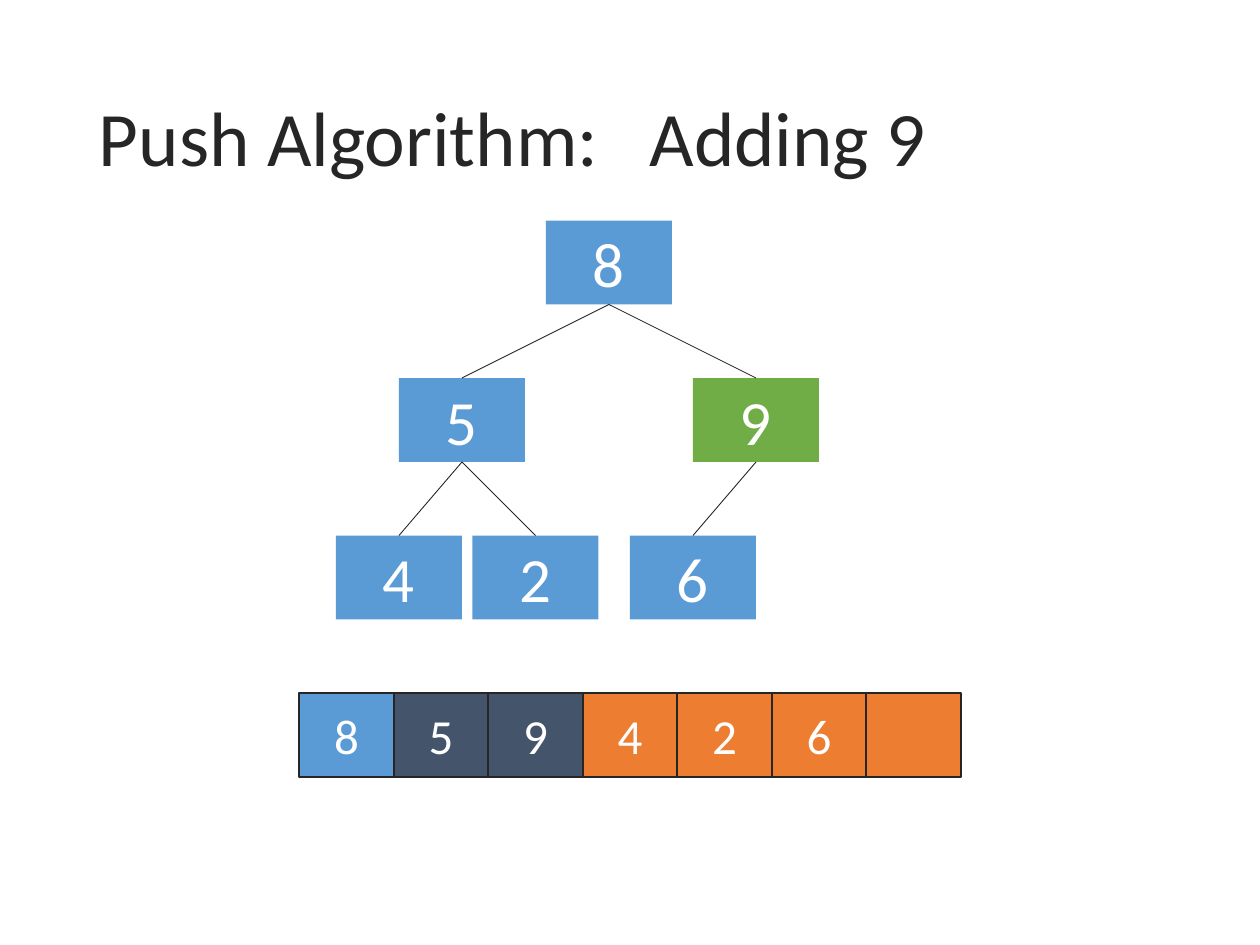
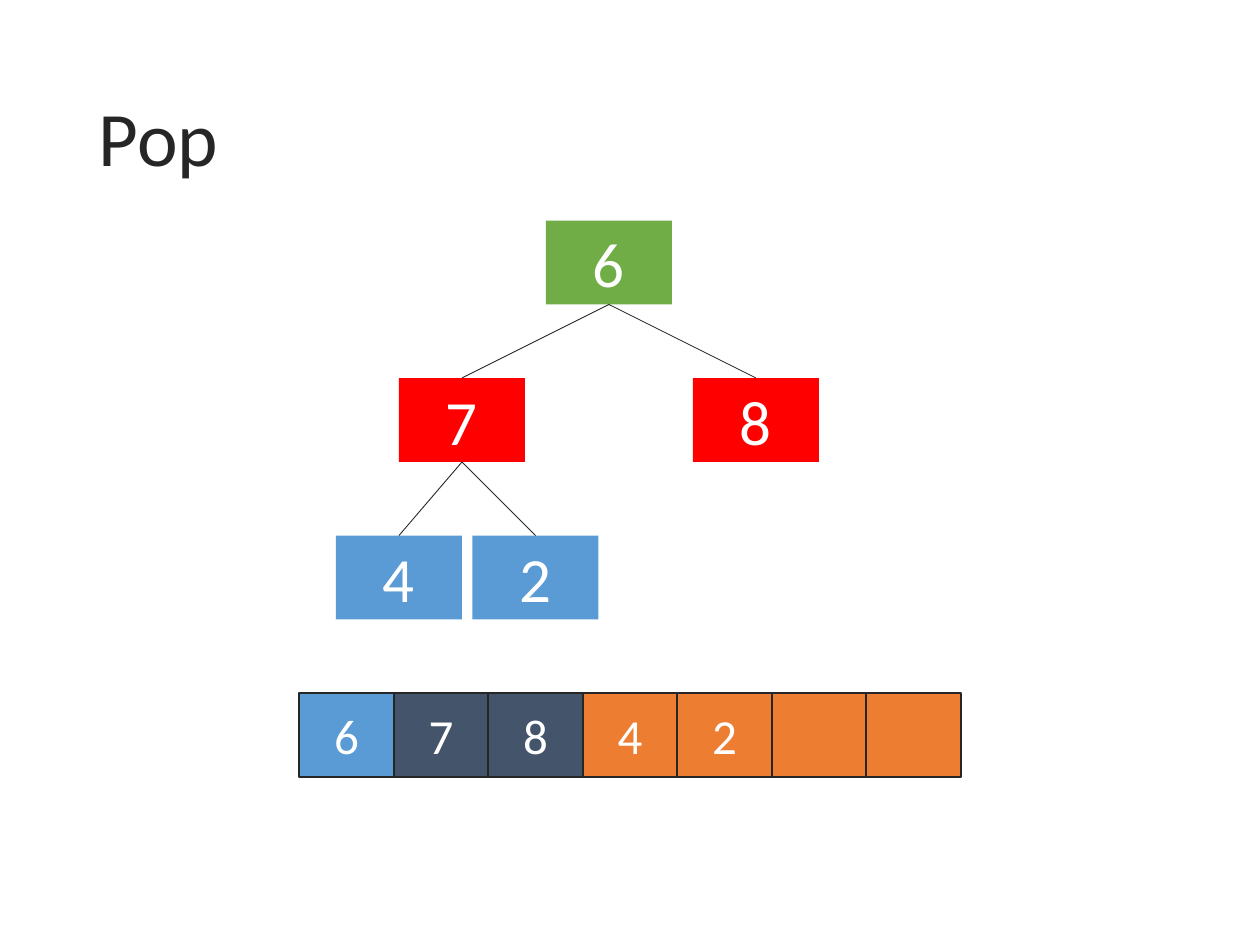
"""Build two slides that show a heap as a tree and as an array."""
import pptx
import pptx.dml.color
import pptx.enum.shapes
import pptx.enum.text
import pptx.oxml
import pptx.oxml.ns
import pptx.util
from lxml import etree

INK, WHITE = "262626", "FFFFFF"
BLUE, GREEN, RED = "5B9BD5", "70AD47", "FF0000"
LEVEL_COLOURS = [BLUE, "44546A", "ED7D31"]
COLUMNS, ROWS = 120, 90
NODE_WIDTH, CELL_WIDTH, BOX_HEIGHT = 12, 9, 8
NODE_COLUMNS = [52, 38, 66, 32, 45, 60]
TREE_TOP, LEVEL_STEP = 21, 15
ARRAY_LEFT, ARRAY_TOP, ARRAY_SIZE = 28.5, 66, 7


def colour(hex_string):
    return pptx.dml.color.RGBColor.from_string(hex_string)


def level_of(index):
    return (index + 1).bit_length() - 1


class HeapDeck:
    def __init__(self):
        self.font = "Calibri"
        self.deck = pptx.Presentation()
        self.deck.slide_width = pptx.util.Inches(10)
        self.deck.slide_height = pptx.util.Inches(7.5)
        self.slide = None

    def new_slide(self):
        self.slide = self.deck.slides.add_slide(self.deck.slide_layouts[6])

    def place(self, left, top, width, height):
        column = self.deck.slide_width / COLUMNS
        row = self.deck.slide_height / ROWS
        return [round(length) for length in (left * column, top * row, width * column, height * row)]

    def style(self, paragraph, size, hex_string):
        paragraph.font.name = self.font
        paragraph.font.size = pptx.util.Pt(size)
        paragraph.font.color.rgb = colour(hex_string)

    def title(self, text):
        frame = self.slide.shapes.add_textbox(*self.place(8.25, 4.8, 103.5, 17.4)).text_frame
        frame.word_wrap = True
        frame.vertical_anchor = pptx.enum.text.MSO_ANCHOR.MIDDLE
        heading = frame.paragraphs[0]
        heading.text = text
        heading.line_spacing = 0.9
        if "\t" in text:
            properties = heading._p.get_or_add_pPr()
            stops = etree.SubElement(properties, pptx.oxml.ns.qn("a:tabLst"))
            etree.SubElement(stops, pptx.oxml.ns.qn("a:tab"), pos=str(pptx.util.Inches(4.37)), algn="l")
        self.style(heading, 44, INK)

    def box(self, shapes, text, area, fill, size, outlined=False):
        box = shapes.add_shape(pptx.enum.shapes.MSO_SHAPE.RECTANGLE, *self.place(*area))
        box.shadow.inherit = False
        box.fill.solid()
        box.fill.fore_color.rgb = colour(fill)
        if outlined:
            box.line.color.rgb = colour(INK)
            box.line.width = pptx.util.Pt(1)
        else:
            box.line.fill.background()
        box.text_frame.vertical_anchor = pptx.enum.text.MSO_ANCHOR.MIDDLE
        if text:
            label = box.text_frame.paragraphs[0]
            label.text = text
            label.alignment = pptx.enum.text.PP_ALIGN.CENTER
            self.style(label, size, WHITE)
        return box

    def edge(self, child, parent):
        edge = self.slide.shapes.add_connector(pptx.enum.shapes.MSO_CONNECTOR.STRAIGHT, 0, 0, 0, 0)
        edge.begin_connect(child, 0)
        edge.end_connect(parent, 2)
        edge.line.color.rgb = colour(INK)
        edge.line.width = pptx.util.Pt(0.5)
        etree.SubElement(edge._element.spPr, pptx.oxml.ns.qn("a:effectLst"))

    def tree(self, heap, highlights):
        nodes = []
        for index, value in enumerate(heap):
            top = TREE_TOP + LEVEL_STEP * level_of(index)
            area = NODE_COLUMNS[index], top, NODE_WIDTH, BOX_HEIGHT
            nodes.append(self.box(self.slide.shapes, value, area, highlights.get(value, BLUE), 36))
            if index:
                self.edge(nodes[index], nodes[(index - 1) // 2])

    def array(self, heap):
        cells = self.slide.shapes.add_group_shape().shapes
        for index, value in enumerate(heap.ljust(ARRAY_SIZE)):
            area = ARRAY_LEFT + index * CELL_WIDTH, ARRAY_TOP, CELL_WIDTH, BOX_HEIGHT
            self.box(cells, value.strip(), area, LEVEL_COLOURS[level_of(index)], 28, outlined=True)

    def heap_slide(self, title, heap, highlights):
        self.new_slide()
        self.title(title)
        self.tree(heap, highlights)
        self.array(heap)


def main():
    heap_deck = HeapDeck()
    heap_deck.heap_slide("Push Algorithm:\tAdding 9", "859426", {"9": GREEN})
    heap_deck.heap_slide("Pop", "67842", {"6": GREEN, "7": RED, "8": RED})
    heap_deck.deck.save("out.pptx")


if __name__ == "__main__":
    main()
